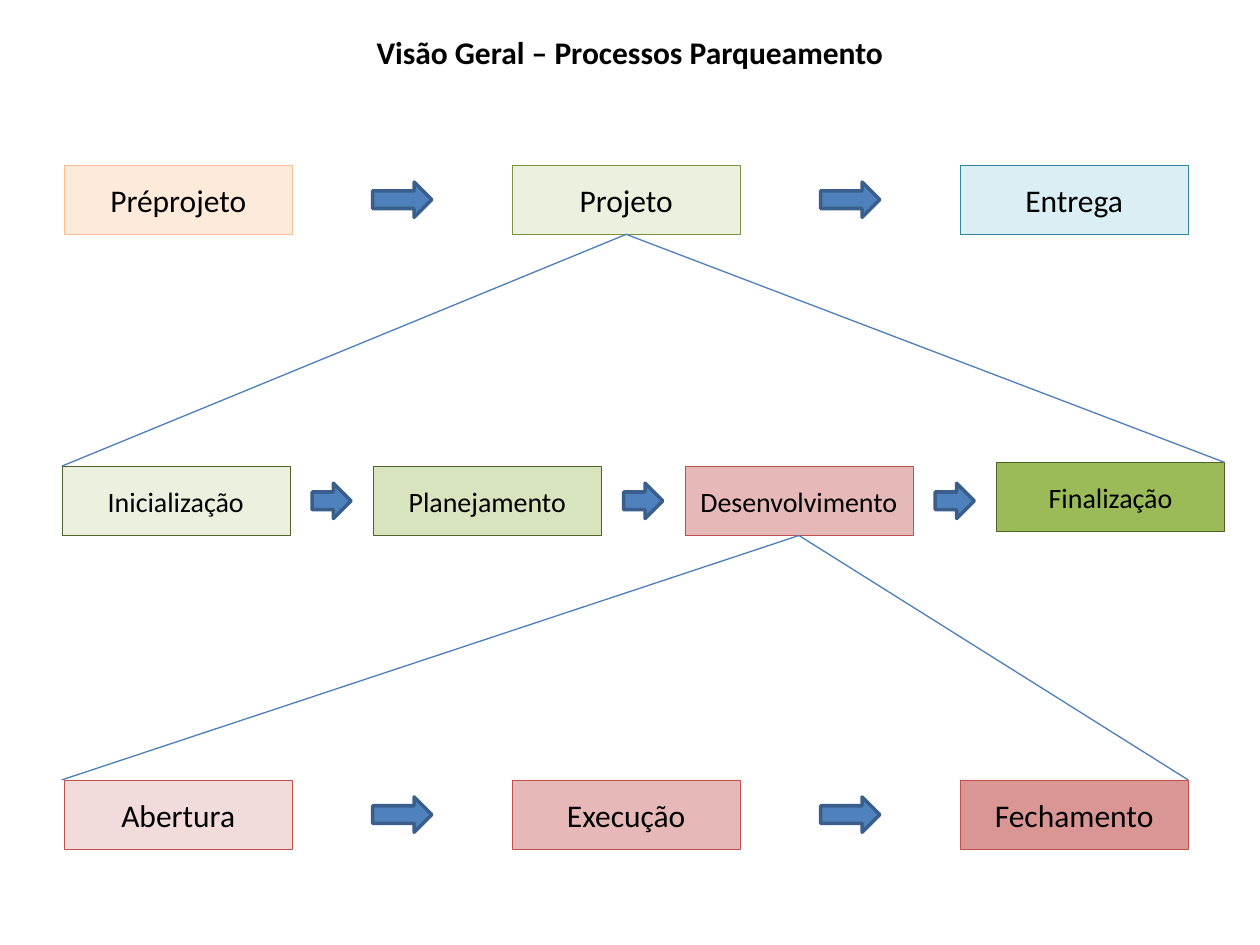
"""Build the process overview slide: three rows of steps linked by arrows."""
from dataclasses import dataclass

from lxml import etree
from pptx import Presentation
from pptx.dml.color import RGBColor
from pptx.enum.shapes import MSO_CONNECTOR, MSO_SHAPE
from pptx.enum.text import MSO_ANCHOR, PP_ALIGN
from pptx.oxml.ns import qn
from pptx.shapes.autoshape import Shape
from pptx.slide import Slide
from pptx.text.text import TextFrame
from pptx.util import Inches, Pt

RECT, ARROW = MSO_SHAPE.RECTANGLE, MSO_SHAPE.RIGHT_ARROW
STRAIGHT = MSO_CONNECTOR.STRAIGHT
MIDDLE, CENTER = MSO_ANCHOR.MIDDLE, PP_ALIGN.CENTER

BLACK = RGBColor(0x00, 0x00, 0x00)
BLUE = RGBColor(0x4F, 0x81, 0xBD)
DARK_BLUE = RGBColor(0x3A, 0x5F, 0x8C)
LINK_BLUE = RGBColor(0x4B, 0x7E, 0xBC)
PALE_ORANGE = RGBColor(0xFD, 0xEA, 0xDA)
ORANGE = RGBColor(0xFA, 0xC0, 0x90)
PALE_GREEN = RGBColor(0xEB, 0xF1, 0xDE)
LIGHT_GREEN = RGBColor(0xD7, 0xE4, 0xBD)
GREEN = RGBColor(0x9B, 0xBB, 0x59)
OLIVE = RGBColor(0x77, 0x93, 0x3C)
DARK_GREEN = RGBColor(0x4F, 0x62, 0x28)
PALE_AQUA = RGBColor(0xDB, 0xEE, 0xF4)
AQUA = RGBColor(0x31, 0x85, 0x9C)
PALE_RED = RGBColor(0xF2, 0xDC, 0xDB)
LIGHT_RED = RGBColor(0xE6, 0xB9, 0xB8)
MID_RED = RGBColor(0xD9, 0x96, 0x94)
RED = RGBColor(0xC0, 0x50, 0x4D)

FONT = "Calibri"
BOX_W, BOX_H = 1.81, 0.55
ARROW_H = 0.28
LINK_LEFT = 0.49


@dataclass(frozen=True)
class Step:
    text: str
    fill: RGBColor
    line: RGBColor
    rise: float = 0


@dataclass(frozen=True)
class Row:
    left: float
    top: float
    pitch: float
    arrow_w: float
    size: int
    steps: tuple[Step, ...]


PHASES = Row(0.51, 1.31, 3.555, 0.47, 18, (
    Step("Préprojeto", PALE_ORANGE, ORANGE),
    Step("Projeto", PALE_GREEN, OLIVE),
    Step("Entrega", PALE_AQUA, AQUA),
))
PROJECT = Row(0.49, 3.7, 2.473, 0.31, 16, (
    Step("Inicialização", PALE_GREEN, DARK_GREEN),
    Step("Planejamento", LIGHT_GREEN, DARK_GREEN),
    Step("Desenvolvimento", LIGHT_RED, RED),
    Step("Finalização", GREEN, DARK_GREEN, rise=0.03),
))
DEVELOPMENT = Row(0.51, 6.19, 3.555, 0.47, 18, (
    Step("Abertura", PALE_RED, RED),
    Step("Execução", LIGHT_RED, RED),
    Step("Fechamento", MID_RED, RED),
))


def write(tf: TextFrame, text: str, size: int, bold: bool = False) -> None:
    """Set one centred line of black text."""
    tf.text = text
    tf.word_wrap = True
    p = tf.paragraphs[0]
    p.alignment = CENTER
    font = p.runs[0].font
    font.name, font.size, font.bold = FONT, Pt(size), bold
    font.color.rgb = BLACK


def add_block(s: Slide, kind: MSO_SHAPE, x: float, y: float, w: float, h: float,
              fill: RGBColor, line: RGBColor, weight: float) -> Shape:
    """Add a filled and outlined shape without shadow."""
    sp = s.shapes.add_shape(kind, Inches(x), Inches(y), Inches(w), Inches(h))
    sp.shadow.inherit = False
    sp.fill.solid()
    sp.fill.fore_color.rgb = fill
    sp.line.color.rgb = line
    sp.line.width = Pt(weight)
    return sp


def add_row(s: Slide, row: Row) -> list[Shape]:
    """Add the boxes of a row with an arrow centred in each gap."""
    boxes = []
    for i, step in enumerate(row.steps):
        x = row.left + i * row.pitch
        sp = add_block(s, RECT, x, row.top - step.rise, BOX_W, BOX_H,
                       step.fill, step.line, 0.25)
        write(sp.text_frame, step.text, row.size)
        sp.text_frame.vertical_anchor = MIDDLE
        boxes.append(sp)
        if i:
            arrow_x = x - (row.pitch - BOX_W + row.arrow_w) / 2
            arrow_y = row.top + (BOX_H - ARROW_H) / 2
            add_block(s, ARROW, arrow_x, arrow_y, row.arrow_w, ARROW_H,
                      BLUE, DARK_BLUE, 2)
    return boxes


def add_expansion(s: Slide, parent: Shape, children: list[Shape]) -> None:
    """Link a box to the outer top corners of the row that details it."""
    first, last = children[0], children[-1]
    corners = ((Inches(LINK_LEFT), first.top), (last.left + last.width, last.top))
    for x, y in corners:
        link = s.shapes.add_connector(STRAIGHT, parent.left, parent.top, x, y)
        link.begin_connect(parent, 2)
        link.line.color.rgb = LINK_BLUE
        link.line.width = Pt(0.75)
        etree.SubElement(link._element.spPr, qn("a:effectLst"))


def main() -> None:
    """Create and save the slide."""
    prs = Presentation()
    prs.slide_width, prs.slide_height = Inches(10), Inches(7.5)
    s = prs.slides.add_slide(prs.slide_layouts[6])
    phases, project, development = (
        add_row(s, row) for row in (PHASES, PROJECT, DEVELOPMENT))
    add_expansion(s, phases[1], project)
    add_expansion(s, project[2], development)
    title = s.shapes.add_textbox(0, Inches(0.21), prs.slide_width, Inches(0.4))
    write(title.text_frame, "Visão Geral – Processos Parqueamento", 18, bold=True)
    prs.save("out.pptx")


if __name__ == "__main__":
    main()
